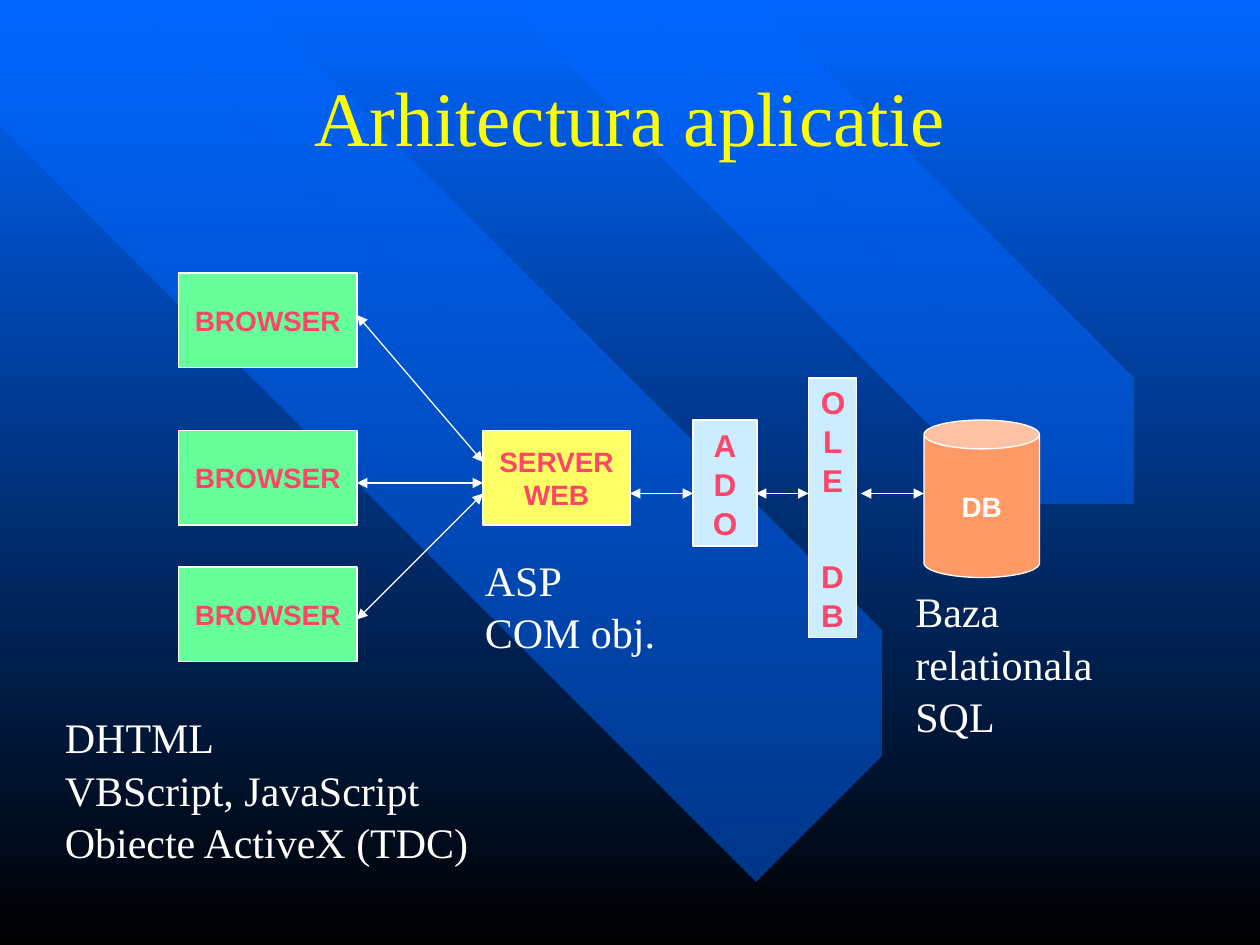
from lxml import etree
from pptx import Presentation
from pptx import util as u
from pptx.dml.color import RGBColor
from pptx.enum import shapes, text
from pptx.oxml.ns import qn

# Content; diagram places are in grid units, 12 to the inch
GRID = 12
TITLE = ("Arhitectura aplicatie", (9, 3, 102, 16))
BLUE, BLACK, WHITE, YELLOW = "0066FF", "000000", "FFFFFF", "FFFF00"
GREEN, LEMON, ICE, ORANGE, PINK = "66FF99", "FFFF66", "CCECFF", "FF9966", "FF4568"

STRIPES = [  # corner points in inches
    [(6.7, 5.93), (0.79, 0), (0, 0), (0, 0.84), (5.89, 6.75)],
    [(2.14, 0), (7.38, 5.27), (7.06, 5.59), (1.49, 0)],
    [(4.89, 0), (8.76, 3.89), (8.21, 4.44), (3.8, 0)],
    [(5.3, 0), (8.97, 3.68), (9.27, 3.38), (5.91, 0)],
]
BROWSER_ROWS = (26, 41, 54)
BLOCKS = [  # lines, place, fill, text colour, preset
    *[(["BROWSER"], (17, row, 17, 9), GREEN, PINK, "RECTANGLE") for row in BROWSER_ROWS],
    (["SERVER", "WEB"], (46, 41, 14, 9), LEMON, PINK, "RECTANGLE"),
    (["DB"], (88, 40, 11, 15), ORANGE, WHITE, "CAN"),
]
# Narrow columns: each letter wraps onto its own line
COLUMNS = [
    (["ADO"], (66, 40, 6.1, 12), ICE, PINK, "RECTANGLE"),
    (["OLE", "DB"], (77, 36, 4.6, 24.7), ICE, PINK, "RECTANGLE"),
]
ARROWS = [
    ((34, 30), (46, 44)), ((34, 46), (46, 46)), ((34, 59), (46, 47)),
    ((60, 47), (66, 47)), ((72, 47), (77, 47)), ((82, 47), (88, 47)),
]
NOTES = [
    ("DHTML\vVBScript, JavaScript\vObiecte ActiveX (TDC)", (5, 67, 42, 15.6)),
    ("ASP\vCOM obj.", (45, 52, 19, 10.8)),
    ("Baza relationala SQL", (86, 55, 21, 15.6)),
]
CENTER, LEFT = text.PP_ALIGN.CENTER, text.PP_ALIGN.LEFT
BLOCK_FONT = {"name": "Arial", "size": u.Pt(16), "bold": True}
COLUMN_FONT = {"name": "Arial", "size": u.Pt(18), "bold": True}
NOTE_FONT = {"name": "Times New Roman", "size": u.Pt(24)}
TITLE_FONT = {"name": "Times New Roman", "size": u.Pt(44)}


def color(value):
    return RGBColor.from_string(value)


def units(values):
    return [u.Inches(value / GRID) for value in values]


def write(shape, lines, font, ink, align, wrap=True, middle=True, **spacing):
    frame = shape.text_frame
    frame.word_wrap = wrap
    frame.vertical_anchor = text.MSO_ANCHOR.MIDDLE if middle else text.MSO_ANCHOR.TOP
    frame.text = "\n".join(lines)
    for index, para in enumerate(frame.paragraphs):
        para.alignment = align
        for name, value in spacing.items():
            if index or name != "space_before":
                setattr(para, name, value)
        for span in para.runs:
            for name, value in font.items():
                setattr(span.font, name, value)
            span.font.color.rgb = color(ink)


def add_block(page, block, font, **options):
    lines, place, fill, ink, preset = block
    shape = page.shapes.add_shape(getattr(shapes.MSO_SHAPE, preset), *units(place))
    shape.shadow.inherit = False
    shape.fill.solid()
    shape.fill.fore_color.rgb = color(fill)
    shape.line.color.rgb = color(WHITE)
    shape.line.width = u.Pt(0.75)
    write(shape, lines, font, ink, CENTER, **options)


def add_stripe(page, points):
    builder = page.shapes.build_freeform(*points[0], scale=u.Inches(1))
    builder.add_line_segments(points[1:], close=True)
    stripe = builder.convert_to_shape()
    stripe.shadow.inherit = False
    stripe.line.fill.background()
    stripe.fill.solid()
    stripe.fill.fore_color.rgb = color(BLUE)
    tint = stripe._element.spPr.find(".//" + qn("a:srgbClr"))
    etree.SubElement(tint, qn("a:alpha"), val="50000")


def add_arrow(page, start, end):
    arrow = page.shapes.add_connector(
        shapes.MSO_CONNECTOR.STRAIGHT, *units(start + end))
    arrow.line.color.rgb = color(WHITE)
    arrow.line.width = u.Pt(0.75)
    outline = arrow.line._get_or_add_ln()
    for tip in ("a:headEnd", "a:tailEnd"):
        etree.SubElement(outline, qn(tip), type="triangle")
    etree.SubElement(arrow._element.spPr, qn("a:effectLst"))


def main():
    deck = Presentation()
    deck.slide_width, deck.slide_height = u.Inches(10), u.Inches(7.5)
    page = deck.slides.add_slide(deck.slide_layouts[5])

    # Background: top-to-bottom gradient under diagonal stripes
    backdrop = page.background.fill
    backdrop.gradient()
    backdrop.gradient_angle = 270
    for stop, value in zip(backdrop.gradient_stops, (BLUE, BLACK)):
        stop.color.rgb = color(value)
    for points in STRIPES:
        add_stripe(page, points)

    # Diagram
    for block in BLOCKS:
        add_block(page, block, BLOCK_FONT, wrap=False)
    for column in COLUMNS:
        add_block(page, column, COLUMN_FONT, line_spacing=1.04, space_before=u.Pt(32))
    for start, end in ARROWS:
        add_arrow(page, start, end)

    # Title, brought in front of the stripes
    title = page.shapes.title
    title.left, title.top, title.width, title.height = units(TITLE[1])
    write(title, [TITLE[0]], TITLE_FONT, YELLOW, CENTER)
    page.shapes._spTree.append(title._element)

    # Technology notes
    for words, place in NOTES:
        box = page.shapes.add_textbox(*units(place))
        write(box, [words], NOTE_FONT, WHITE, LEFT, middle=False, line_spacing=1.04)

    deck.save("out.pptx")


if __name__ == "__main__":
    main()
